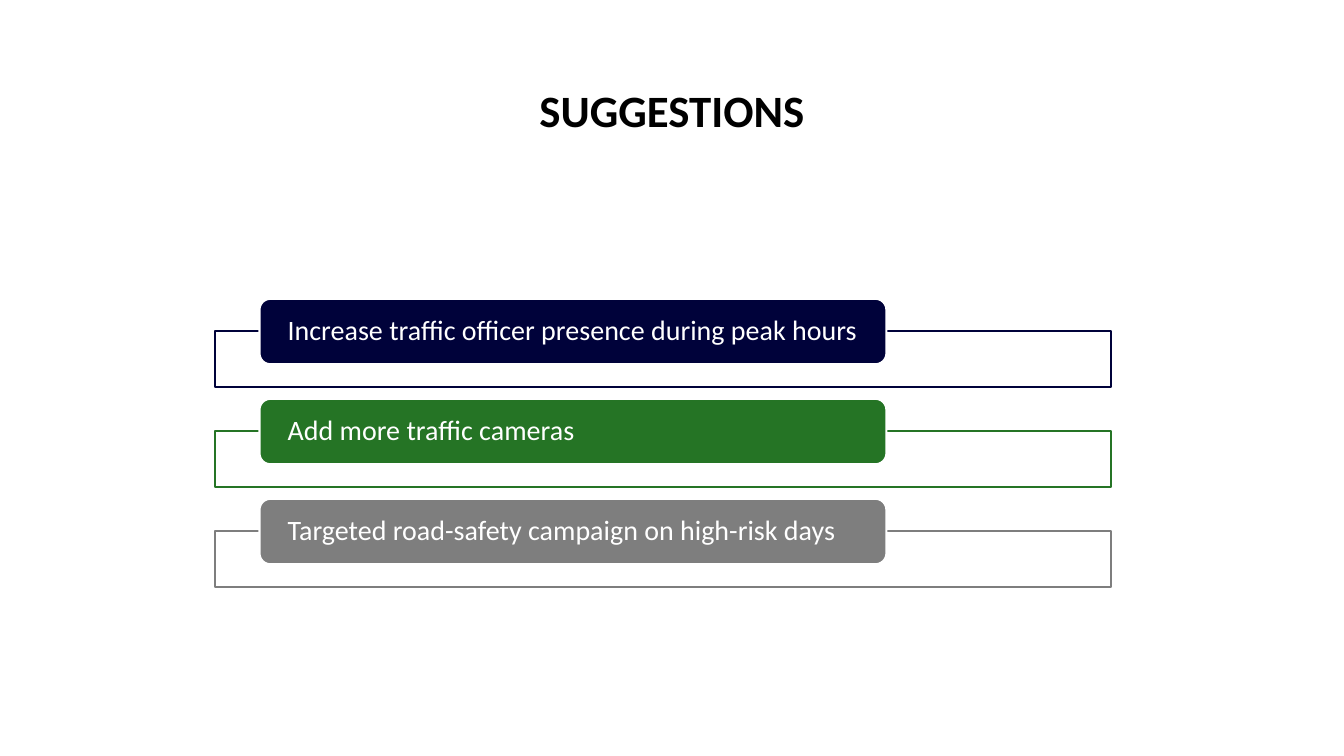
from pptx import Presentation
from pptx import util as u
from pptx.dml.color import RGBColor
from pptx.enum import shapes, text
from pptx.oxml.ns import qn
from lxml import etree

NAVY = RGBColor(0x00, 0x02, 0x3A)
GREEN = RGBColor(0x25, 0x74, 0x25)
GREY = RGBColor(0x7E, 0x7E, 0x7E)
WHITE = RGBColor(0xFF, 0xFF, 0xFF)
BLACK = RGBColor(0x00, 0x00, 0x00)


def write(sp, words, size, color, align, bold=False, left=0.25, right=0.25, edge=0.13):
    tf = sp.text_frame
    tf.word_wrap = True
    tf.auto_size = text.MSO_AUTO_SIZE.NONE
    tf.vertical_anchor = text.MSO_ANCHOR.MIDDLE
    tf.margin_left, tf.margin_right = u.Cm(left), u.Cm(right)
    tf.margin_top = tf.margin_bottom = u.Cm(edge)
    p = tf.paragraphs[0]
    p.alignment = align
    p.line_spacing = 0.9
    r = p.add_run()
    r.text = words
    r.font.name = "Calibri"
    r.font.size = u.Pt(size)
    r.font.bold = bold
    r.font.color.rgb = color


def add_box(kind, left, top, width, height, fill, line):
    sp = slide.shapes.add_shape(kind, u.Cm(left), u.Cm(top), u.Cm(width), u.Cm(height))
    sp.shadow.inherit = False
    sp.fill.solid()
    sp.fill.fore_color.rgb = fill
    sp.line.color.rgb = line
    sp.line.width = u.Pt(1.5)
    return sp


prs = Presentation()
prs.slide_width, prs.slide_height = u.Cm(33.87), u.Cm(19.05)
slide = prs.slides.add_slide(prs.slide_layouts[5])

title = slide.shapes.title
title.left, title.top = u.Cm(2.33), u.Cm(1.01)
title.width, title.height = u.Cm(29.21), u.Cm(3.68)
write(title, "SUGGESTIONS", 32, BLACK, text.PP_ALIGN.CENTER, bold=True)

suggestions = [
    ("Increase traffic officer presence during peak hours", NAVY),
    ("Add more traffic cameras", GREEN),
    ("Targeted road-safety campaign on high-risk days", GREY),
]
for i, (words, color) in enumerate(suggestions):
    top = 7.53 + i * 2.52
    frame = add_box(shapes.MSO_SHAPE.RECTANGLE, 5.41, top + 0.82, 22.58, 1.4, WHITE, color)
    fill_color = frame.fill._xPr.find(qn("a:solidFill"))[0]
    etree.SubElement(fill_color, qn("a:alpha"), val="90000")
    label = add_box(shapes.MSO_SHAPE.ROUNDED_RECTANGLE, 6.54, top, 15.8, 1.65, color, WHITE)
    write(label, words, 20, WHITE, text.PP_ALIGN.LEFT, left=0.63, right=0.4, edge=0)

prs.save("out.pptx")
